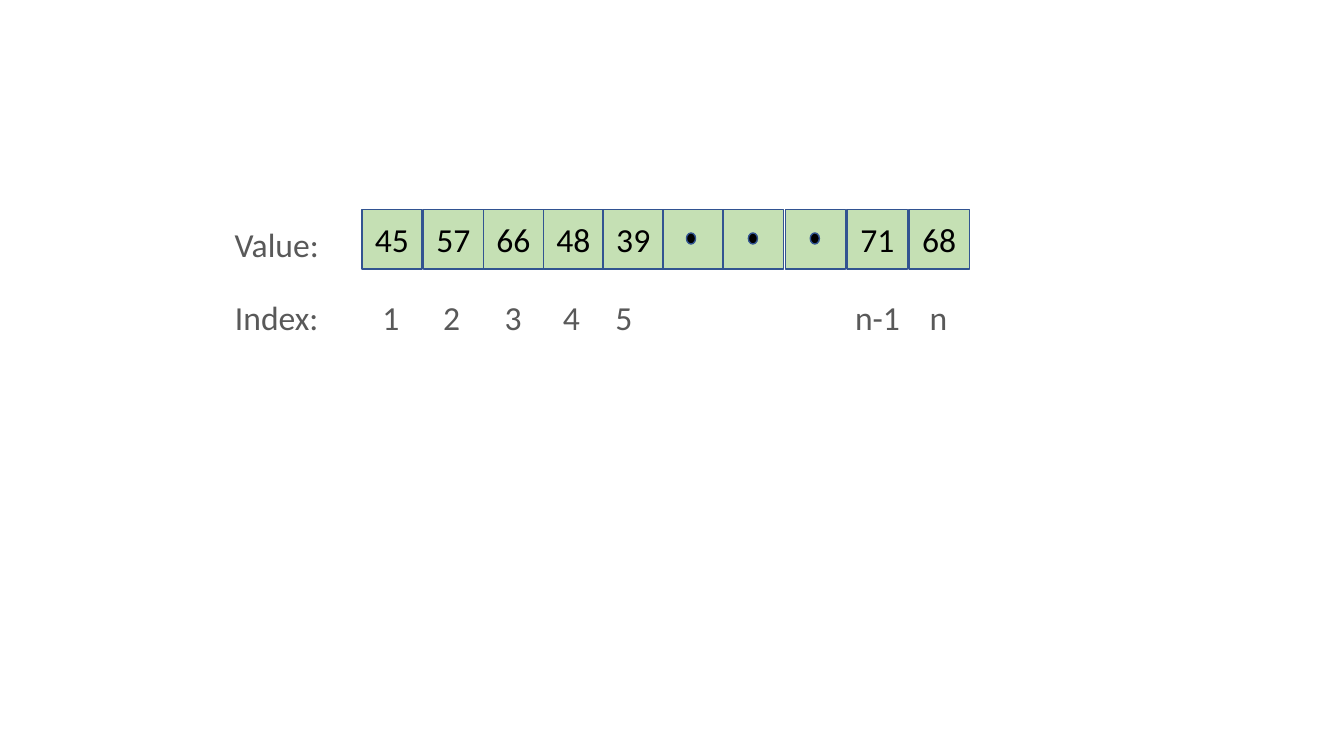
from pptx import Presentation
from pptx.dml.color import RGBColor as RGB
from pptx.enum.shapes import MSO_SHAPE as Shape
from pptx.enum.text import MSO_ANCHOR as Anchor, PP_ALIGN as Align
from pptx.util import Cm, Pt

COLORS = {"cell": "C5E0B4", "edge": "325491", "ink": "000000", "label": "595959"}
CELL_TOP, CELL_W, CELL_H = 5.28, 1.52, 1.5
LABEL_H, INDEX_TOP = 1.98, 6.99


def color(name):
    return RGB.from_string(COLORS[name])


def write(sp, text, size=24, font="Calibri", ink="ink", align=Align.CENTER):
    tf = sp.text_frame
    tf.word_wrap = True
    tf.vertical_anchor = Anchor.MIDDLE
    tf.margin_left = tf.margin_right = 0
    p = tf.paragraphs[0]
    p.alignment = align
    r = p.add_run()
    r.text = text
    r.font.size = Pt(size)
    r.font.name = font
    r.font.color.rgb = color(ink)


class ArrayDiagram:
    def __init__(self, slide, line_width=1):
        self.shapes = slide.shapes
        self.line_width = Pt(line_width)

    def outlined(self, kind, left, top, width, height, fill):
        sp = self.shapes.add_shape(kind, Cm(left), Cm(top), Cm(width), Cm(height))
        sp.shadow.inherit = False
        sp.fill.solid()
        sp.fill.fore_color.rgb = color(fill)
        sp.line.color.rgb = color("edge")
        sp.line.width = self.line_width
        return sp

    def cell(self, left, value):
        sp = self.outlined(Shape.RECTANGLE, left, CELL_TOP, CELL_W, CELL_H, "cell")
        if value:
            write(sp, value)

    def dot(self, left):
        self.outlined(Shape.OVAL, left, 5.87, 0.23, 0.28, "ink")

    def label(self, text, left, top=INDEX_TOP, width=CELL_W):
        sp = self.shapes.add_textbox(Cm(left), Cm(top), Cm(width), Cm(LABEL_H))
        write(sp, text, ink="label")


def main():
    prs = Presentation()
    prs.slide_width, prs.slide_height = Cm(33.87), Cm(19.05)
    diagram = ArrayDiagram(prs.slides.add_slide(prs.slide_layouts[6]))

    values = ["45", "57", "66", "48", "39", "", "", "", "71", "68"]
    # The first cell stands apart, six cells touch, the last three are spaced.
    lefts = [9.12]
    lefts += [10.67 + 1.51 * i for i in range(6)]
    lefts += [19.79 + 1.56 * i for i in range(3)]
    for left, value in zip(lefts, values):
        diagram.cell(left, value)
    for i in range(3):
        diagram.dot(17.3 + 1.56 * i)

    diagram.label("Value:", 5.44, top=5.16, width=3.07)
    diagram.label("Index:", 5.44, width=3.07)
    for number, left in enumerate([9.09, 10.62, 12.17, 13.64, 14.96], start=1):
        diagram.label(str(number), left)
    diagram.label("n-1", 21.29, width=1.65)
    diagram.label("n", 22.89)
    prs.save("out.pptx")


if __name__ == "__main__":
    main()
